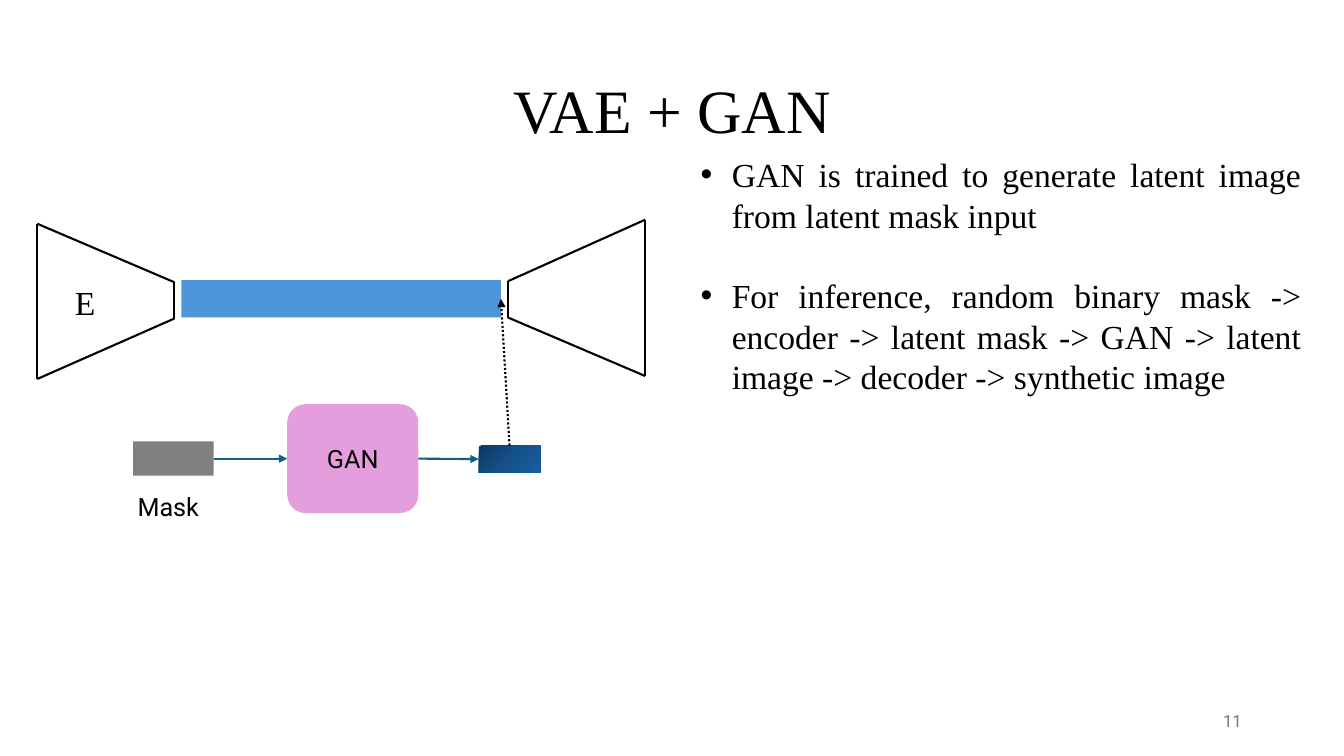
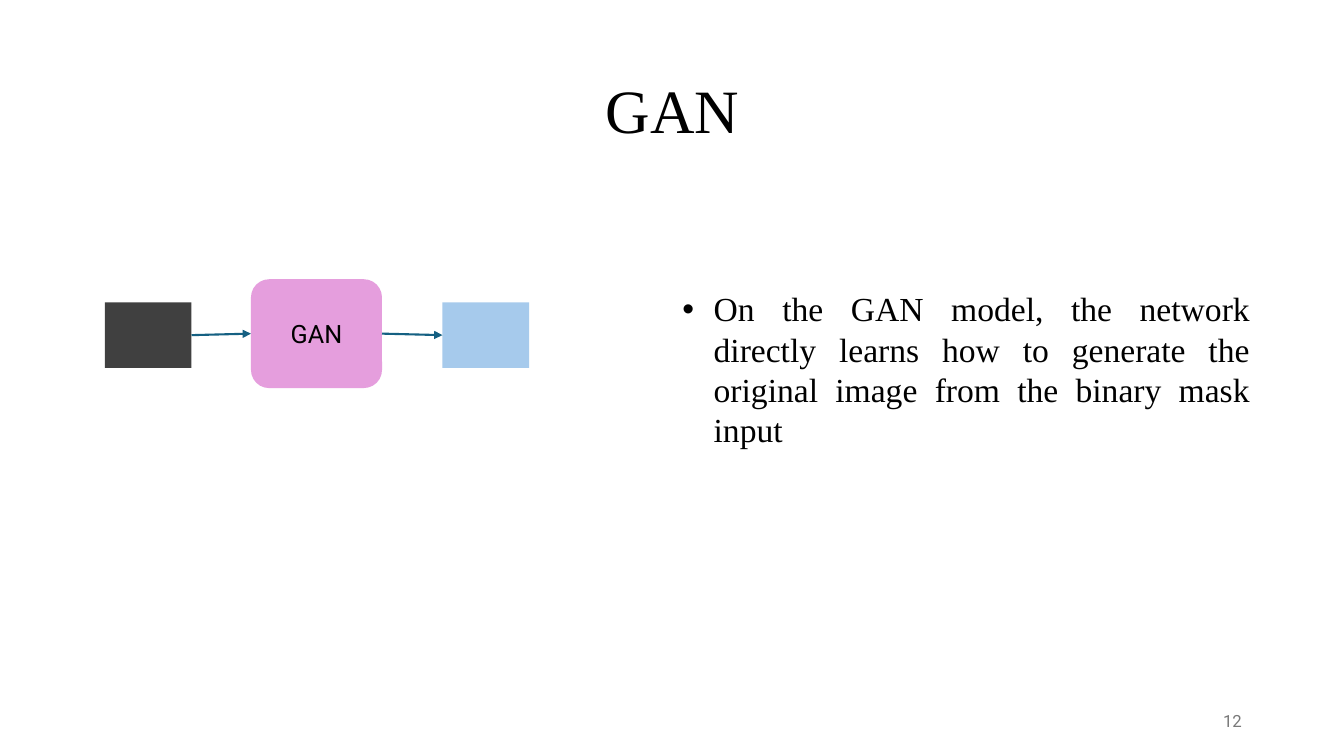
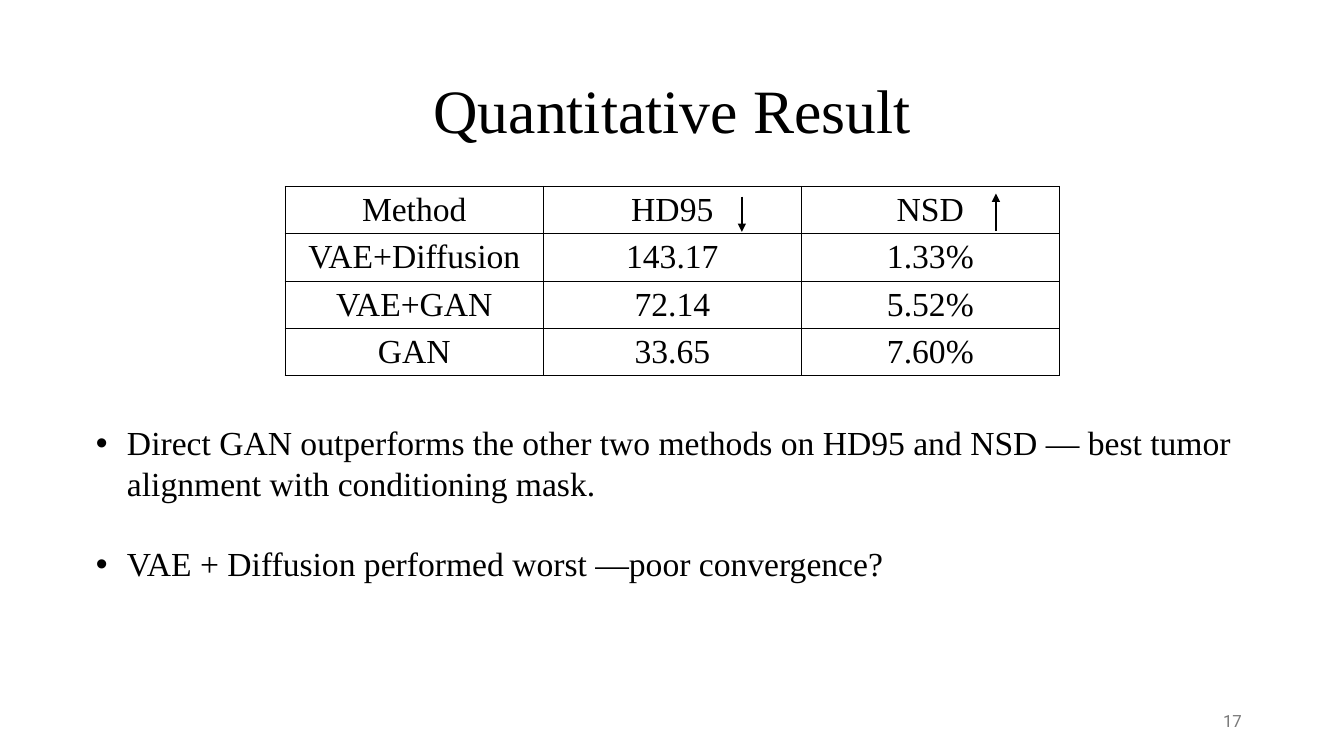
from copy import deepcopy

from lxml.etree import SubElement
from pptx import Presentation
from pptx.dml.color import RGBColor
from pptx.enum.dml import MSO_LINE
from pptx.enum.shapes import MSO_CONNECTOR, MSO_SHAPE
from pptx.enum.text import MSO_ANCHOR, MSO_AUTO_SIZE, PP_ALIGN
from pptx.oxml.ns import qn
from pptx.util import Pt

PX = 9144
SERIF = "Times New Roman"
SANS = "Roboto"
COLORS = {
    "black": "000000",
    "number": "797979",
    "flow": "156082",
    "latent_bar": "4E95D9",
    "gan": "E59EDD",
    "mask": "808080",
    "binary_mask": "404040",
    "image": "A6CAEC",
    "latent_start": "0E3860",
    "latent_middle": "145089",
    "latent_end": "185FA3",
}
FRAME_FORMAT = {"word_wrap": True, "auto_size": MSO_AUTO_SIZE.NONE}
TITLE_FORMAT = {"alignment": PP_ALIGN.CENTER, "line_spacing": 0.9}
BULLET_FORMAT = {"line_spacing": Pt(28.8), "space_before": Pt(0), "space_after": Pt(28.8)}


def write(frame, text, size, font=SERIF, color="black", **paragraph_format):
    frame.text = text
    for paragraph in frame.paragraphs:
        for key, value in paragraph_format.items():
            setattr(paragraph, key, value)
        for run in paragraph.runs:
            for key, value in {"size": Pt(size), "name": font}.items():
                setattr(run.font, key, value)
            run.font.color.rgb = RGBColor.from_string(COLORS[color])


def draw_line(slide, color, ends=(0, 0, 0, 0), arrowhead=True):
    line = slide.shapes.add_connector(MSO_CONNECTOR.STRAIGHT, *[end * PX for end in ends])
    line.line.color.rgb = RGBColor.from_string(COLORS[color])
    line.line.width = Pt(1.5)
    properties = line._element.spPr
    if arrowhead:
        SubElement(properties.get_or_add_ln(), qn("a:tailEnd"), type="triangle")
    SubElement(properties, qn("a:effectLst"))
    return line


deck = Presentation()
deck.slide_height = 750 * PX
deck.slide_width = deck.slide_height * 16 // 9

pages = [
    ("VAE + GAN", "11", (685, 148, 616, 252), PP_ALIGN.JUSTIFY, [
        "GAN is trained to generate latent image from latent mask input",
        "For inference, random binary mask -> encoder -> latent mask -> GAN -> "
        "latent image -> decoder -> synthetic image",
    ]),
    ("GAN", "12", (667, 281, 583, 172), PP_ALIGN.JUSTIFY, [
        "On the GAN model, the network directly learns how to generate the "
        "original image from the binary mask input",
    ]),
    ("Quantitative Result", "17", (85, 414, 1163, 212), PP_ALIGN.LEFT, [
        "Direct GAN outperforms the other two methods on HD95 and NSD — "
        "best tumor alignment with conditioning mask.",
        "VAE + Diffusion performed worst —poor convergence?",
    ]),
]

for title, number, body_area, body_alignment, points in pages:
    slide = deck.slides.add_slide(deck.slide_layouts[1])
    heading, body = slide.placeholders
    page_number = slide.shapes.add_textbox(0, 0, 0, 0)
    areas = [(heading, (92, 40, 1150, 145)), (body, body_area), (page_number, (942, 695, 300, 40))]
    for part, area in areas:
        for key, value in zip(("left", "top", "width", "height"), area):
            setattr(part, key, value * PX)
        for key, value in FRAME_FORMAT.items():
            setattr(part.text_frame, key, value)
    for part in (heading, page_number):
        part.text_frame.vertical_anchor = MSO_ANCHOR.MIDDLE
    write(heading.text_frame, title, 44, **TITLE_FORMAT)
    write(body.text_frame, "\n".join(points), 24, alignment=body_alignment, **BULLET_FORMAT)
    write(page_number.text_frame, number, 12, SANS, "number", alignment=PP_ALIGN.RIGHT)
    for paragraph in body.text_frame.paragraphs:
        properties = paragraph._p.get_or_add_pPr()
        properties.set("marL", str(31 * PX))
        properties.set("indent", str(-31 * PX))

vae_gan, gan_only, results = deck.slides

encoder = [(37, 222), (173, 280), (173, 316), (37, 376)]
decoder = [(640, 218), (504, 279), (504, 315), (640, 373)]
for corners in (encoder, decoder):
    for start, end in zip(corners, corners[1:] + corners[:1]):
        draw_line(vae_gan, "black", start + end, arrowhead=False)

blocks = {}
for name, slide, preset, area, color in [
    ("latent_bar", vae_gan, MSO_SHAPE.RECTANGLE, (180, 278, 317, 37), "latent_bar"),
    ("mask", vae_gan, MSO_SHAPE.RECTANGLE, (132, 438, 80, 34), "mask"),
    ("latent_gan", vae_gan, MSO_SHAPE.ROUNDED_RECTANGLE, (285, 401, 130, 108), "gan"),
    ("latent_image", vae_gan, MSO_SHAPE.RECTANGLE, (475, 442, 61, 27), "latent_start"),
    ("binary_mask", gan_only, MSO_SHAPE.RECTANGLE, (104, 300, 86, 65), "binary_mask"),
    ("direct_gan", gan_only, MSO_SHAPE.ROUNDED_RECTANGLE, (249, 277, 130, 108), "gan"),
    ("image", gan_only, MSO_SHAPE.RECTANGLE, (439, 300, 86, 65), "image"),
]:
    block = slide.shapes.add_shape(preset, *[length * PX for length in area])
    block.shadow.inherit = False
    block.fill.solid()
    block.fill.fore_color.rgb = RGBColor.from_string(COLORS[color])
    block.line.fill.background()
    if color == "gan":
        block.text_frame.vertical_anchor = MSO_ANCHOR.MIDDLE
        write(block.text_frame, "GAN", 18, SANS, alignment=PP_ALIGN.CENTER)
    blocks[name] = block

latent_fill = blocks["latent_image"].fill
latent_fill.gradient()
latent_fill.gradient_angle = 315
stop_list = blocks["latent_image"]._element.find(".//" + qn("a:gsLst"))
stop_list.insert(1, deepcopy(stop_list[0]))
stop_colors = ("latent_start", "latent_middle", "latent_end")
for stop, position, color in zip(latent_fill.gradient_stops, (0, 0.5, 1), stop_colors):
    stop.position = position
    stop.color.rgb = RGBColor.from_string(COLORS[color])

for slide, source, source_side, target, target_side, color in [
    (vae_gan, "mask", 3, "latent_gan", 1, "flow"),
    (vae_gan, "latent_gan", 3, "latent_image", 1, "flow"),
    (vae_gan, "latent_image", 0, "latent_bar", 3, "black"),
    (gan_only, "binary_mask", 3, "direct_gan", 1, "flow"),
    (gan_only, "direct_gan", 3, "image", 1, "flow"),
]:
    arrow = draw_line(slide, color)
    arrow.begin_connect(blocks[source], source_side)
    arrow.end_connect(blocks[target], target_side)
    if target == "latent_bar":
        arrow.line.dash_style = MSO_LINE.ROUND_DOT

for label, area, size, font in [
    ("E", (37, 275, 95, 50), 24, SERIF),
    ("Mask", (107, 483, 120, 40), 18, SANS),
]:
    caption = vae_gan.shapes.add_textbox(*[length * PX for length in area])
    caption.text_frame.word_wrap = True
    write(caption.text_frame, label, size, font, alignment=PP_ALIGN.CENTER)

scores = [
    ("Method", "HD95", "NSD"),
    ("VAE+Diffusion", "143.17", "1.33%"),
    ("VAE+GAN", "72.14", "5.52%"),
    ("GAN", "33.65", "7.60%"),
]
score_table = results.shapes.add_table(4, 3, 283 * PX, 185 * PX, 768 * PX, 188 * PX).table
score_table.first_row = False
score_table.horz_banding = False
for row, values in enumerate(scores):
    for column, value in enumerate(values):
        cell = score_table.cell(row, column)
        write(cell.text_frame, value, 24, alignment=PP_ALIGN.CENTER)
        properties = cell._tc.get_or_add_tcPr()
        for edge in ("a:lnL", "a:lnR", "a:lnT", "a:lnB"):
            border = SubElement(properties, qn(edge), w=str(Pt(1)))
            border_fill = SubElement(border, qn("a:solidFill"))
            SubElement(border_fill, qn("a:srgbClr"), val=COLORS["black"])
        cell.fill.background()

for ends in [(736, 195, 736, 230), (988, 229, 988, 192)]:
    draw_line(results, "black", ends)

deck.save("out.pptx")
